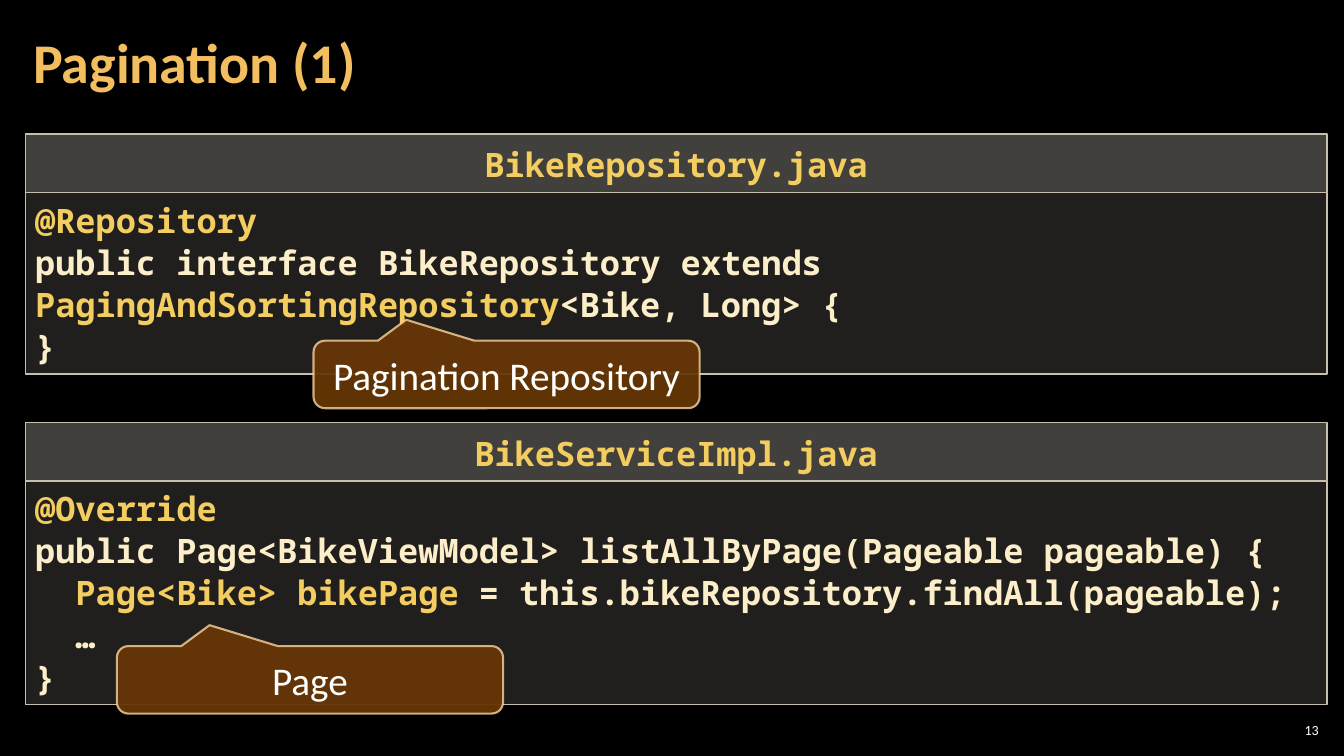
"""Build the Pagination slide with two code listings and their callouts."""
from dataclasses import dataclass

from lxml import etree
from pptx import Presentation
from pptx import util as u
from pptx.dml.color import RGBColor
from pptx.enum import shapes, text
from pptx.oxml.ns import qn

PX = 9144
GOLD, CREAM, WHITE = "F3CD60", "FBEEC9", "FFFFFF"
MONO, SANS = "Noto Sans Mono", "Calibri"
CODE = dict(name=MONO, size=u.Pt(24), bold=True)
LEFT, WIDTH, HEADER_H = 25, 1291, 58
INDENT = 40


@dataclass
class Line:
    runs: list[tuple[str, str]]
    level: int = 0


@dataclass
class Callout:
    label: str
    x: int
    y: int


@dataclass
class Listing:
    file: str
    y: int
    height: int
    lines: list[Line]
    callout: Callout


LISTINGS = [
    Listing("BikeRepository.java", 133, 180, [
        Line([("@Repository", GOLD)]),
        Line([("public interface BikeRepository extends ", CREAM),
              ("PagingAndSortingRepository", GOLD),
              ("<Bike, Long> {", CREAM)]),
        Line([("}", CREAM)]),
    ], Callout("Pagination Repository", 311, 338)),
    Listing("BikeServiceImpl.java", 419, 222, [
        Line([("@Override", GOLD)]),
        Line([("public Page<BikeViewModel> listAllByPage(Pageable pageable) {", CREAM)]),
        Line([("Page<Bike> bikePage ", GOLD),
              ("= this.bikeRepository.findAll(pageable);", CREAM)], level=1),
        Line([("…", CREAM)], level=1),
        Line([("}", CREAM)]),
    ], Callout("Page", 116, 641)),
]


def px(n: int) -> u.Emu:
    return u.Emu(n * PX)


def paint(fill, color: str, alpha: int = 100) -> None:
    fill.solid()
    fill.fore_color.rgb = RGBColor.from_string(color)
    if alpha < 100:
        clr = fill._xPr.find(qn("a:solidFill"))[0]
        etree.SubElement(clr, qn("a:alpha")).set("val", str(alpha * 1000))


def write(sp, lines: list[Line], font: dict, align=text.PP_ALIGN.LEFT,
          anchor=text.MSO_ANCHOR.TOP, spacing: float = 1.0,
          inset: tuple[int, int] = (10, 5)) -> None:
    tf = sp.text_frame
    side, edge = map(px, inset)
    frame = dict(word_wrap=True, vertical_anchor=anchor, margin_left=side,
                 margin_right=side, margin_top=edge, margin_bottom=edge)
    for key, value in frame.items():
        setattr(tf, key, value)
    for i, line in enumerate(lines):
        p = tf.add_paragraph() if i else tf.paragraphs[0]
        p.alignment, p.line_spacing = align, spacing
        if line.level:
            p._p.get_or_add_pPr().set("marL", str(px(INDENT * line.level)))
        for words, color in line.runs:
            r = p.add_run()
            r.text = words
            for key, value in font.items():
                setattr(r.font, key, value)
            paint(r.font.fill, color)


def add_box(s, kind, box: tuple[int, int, int, int], fill: tuple[str, int],
            line: tuple[str, int], weight: float):
    sp = s.shapes.add_shape(kind, *map(px, box))
    sp.shadow.inherit = False
    paint(sp.fill, *fill)
    sp.line.width = u.Pt(weight)
    paint(sp.line.fill, *line)
    return sp


def add_panel(s, y: int, height: int, alpha: int):
    return add_box(s, shapes.MSO_SHAPE.RECTANGLE, (LEFT, y, WIDTH, height),
                   ("D9D5C7", alpha), ("C7BFAC", 100), 1)


def add_callout(s, callout: Callout) -> None:
    sp = add_box(s, shapes.MSO_SHAPE.ROUNDED_RECTANGULAR_CALLOUT,
                 (callout.x, callout.y, 383, 67), ("663606", 95), ("F8D49E", 80), 1.5)
    for i, value in enumerate((-0.26, -0.81, 0.17)):
        sp.adjustments[i] = value
    write(sp, [Line([(callout.label, WHITE)])], dict(name=SANS, size=u.Pt(28)),
          text.PP_ALIGN.CENTER, text.MSO_ANCHOR.MIDDLE)


def add_listing(s, listing: Listing) -> None:
    body = add_panel(s, listing.y + HEADER_H, listing.height, 15)
    write(body, listing.lines, CODE, spacing=1.05)
    header = add_panel(s, listing.y, HEADER_H, 30)
    write(header, [Line([(listing.file, GOLD)])], CODE, text.PP_ALIGN.CENTER,
          spacing=1.05, inset=(10, 8))
    add_callout(s, listing.callout)


def main() -> None:
    prs = Presentation()
    prs.slide_width, prs.slide_height = px(1333), px(750)
    s = prs.slides.add_slide(prs.slide_layouts[6])
    paint(s.background.fill, "000000")
    number = s.shapes.add_textbox(*map(px, (1265, 714, 47, 21)))
    write(number, [Line([("13", WHITE)])], dict(name=SANS, size=u.Pt(10)),
          text.PP_ALIGN.RIGHT, text.MSO_ANCHOR.MIDDLE, inset=(4, 4))
    title = s.shapes.add_textbox(*map(px, (21, 4, 1047, 121)))
    write(title, [Line([("Pagination (1)", "F3BE60")])],
          dict(name=SANS, size=u.Pt(40), bold=True),
          anchor=text.MSO_ANCHOR.MIDDLE, spacing=0.9, inset=(12, 4))
    for listing in LISTINGS:
        add_listing(s, listing)
    prs.save("out.pptx")


if __name__ == "__main__":
    main()
